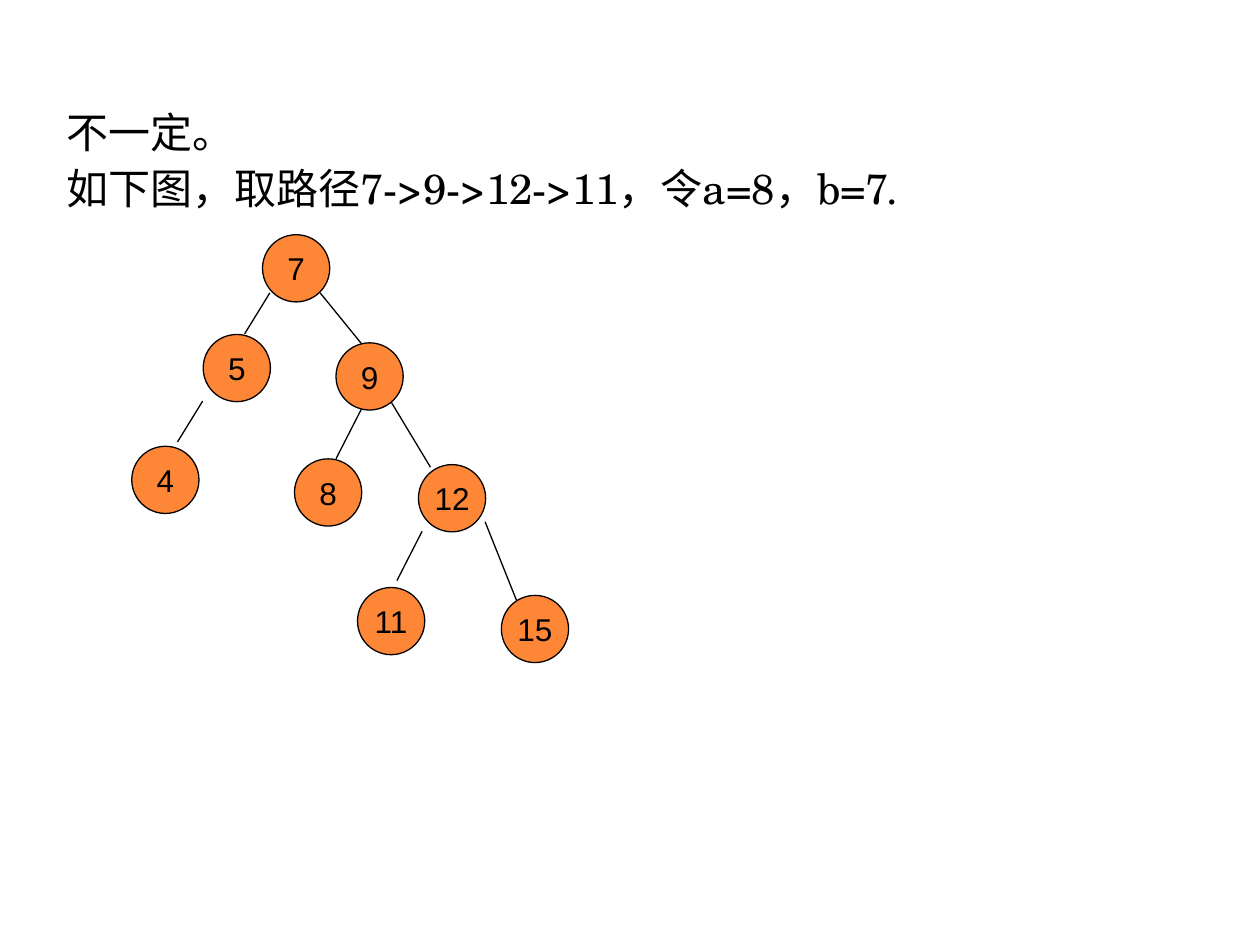
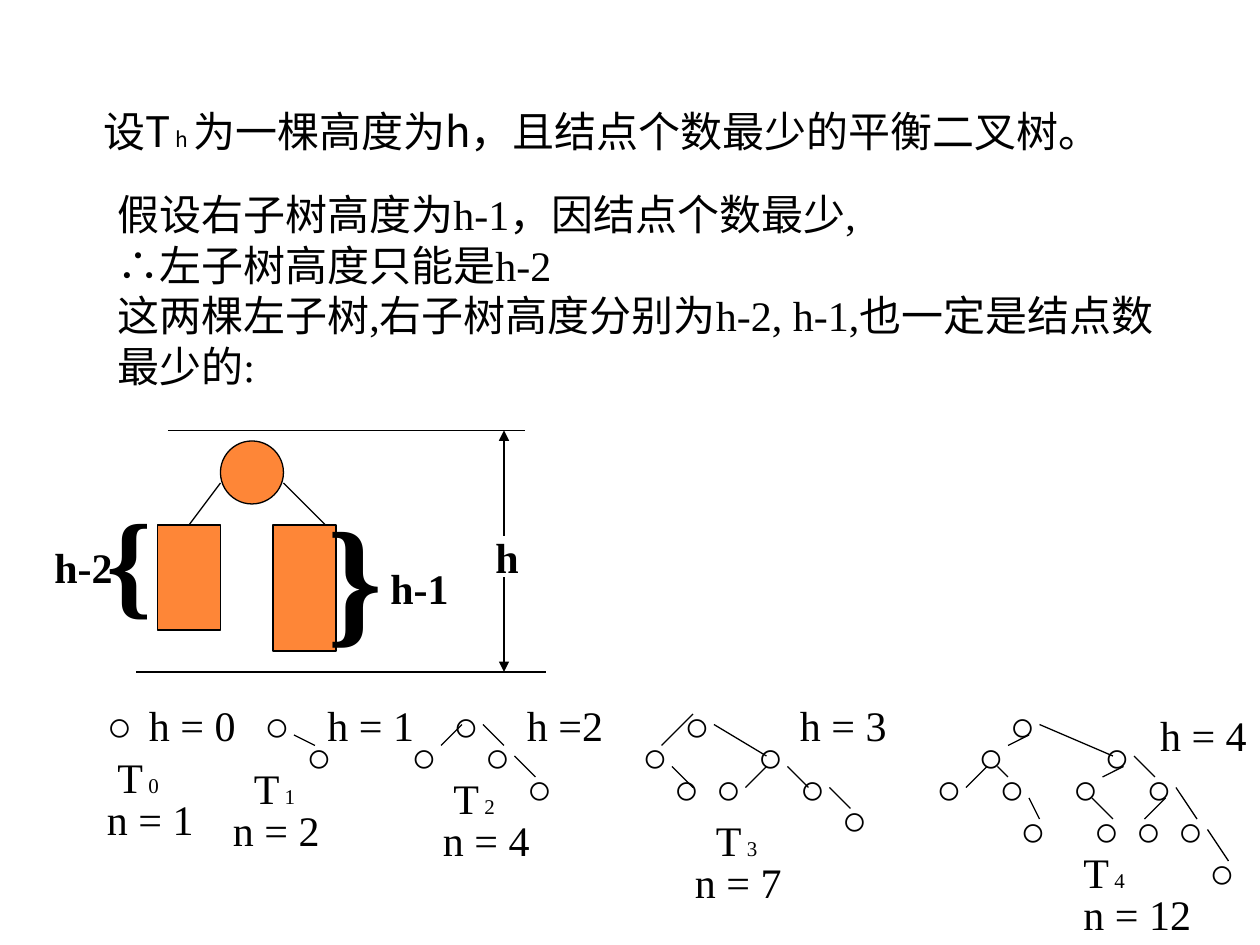
"""Builds two slides on balanced binary trees and their minimal node counts."""
from collections import namedtuple

from lxml.etree import SubElement
from pptx import Presentation
from pptx.dml.color import RGBColor
from pptx.enum.shapes import MSO_CONNECTOR as Connector, MSO_SHAPE as Shape
from pptx.enum.text import MSO_ANCHOR as Anchor, MSO_AUTO_SIZE as AutoSize, PP_ALIGN as Align
from pptx.oxml.ns import qn
from pptx.util import Inches, Pt

BLACK = RGBColor(0x00, 0x00, 0x00)
ORANGE = RGBColor(0xFE, 0x86, 0x37)
SERIF, SANS = "Times New Roman", "Arial"
SCHOLA, CJK = "TeX Gyre Schola", "Noto Sans CJK SC"
COLUMNS, ROWS = 120, 90
LINE_WIDTH = Pt(0.75)
BODY, SUBSCRIPT = 24, 12

MinimalTree = namedtuple("MinimalTree", "nodes edges height height_at name_at count count_at")

SEARCH_TREE_NODES = {
    "7": (25, 22.35), "5": (19.35, 31.85), "9": (32, 32.65), "8": (28.05, 43.7),
    "4": (12.55, 42.5), "12": (39.85, 44.25), "11": (34.05, 55.95), "15": (47.75, 56.7),
}
SEARCH_TREE_EDGES = [
    (25.7, 27.9, 23.3, 31.8), (30.5, 27.9, 34.4, 32.7), (34.4, 39, 32, 43.7),
    (37.2, 38.2, 41, 44.5), (19.3, 38.2, 16.9, 42.1), (40.2, 50.6, 37.8, 55.3),
    (46.2, 49.7, 49.2, 57.2),
]
MINIMAL_TREES = [
    MinimalTree([(9, 66)], [], "h = 0", (13, 66), (10, 71), 1, (9, 75)),
    MinimalTree([(24, 66), (28, 69)], [(28, 70, 30, 71)],
                "h = 1", (30, 66), (23, 72), 2, (21, 76)),
    MinimalTree([(42, 66), (45, 69), (38, 69), (49, 72)],
                [(44, 69, 42, 71), (46, 69, 48, 71), (49, 72, 51, 74)],
                "h =2", (49, 66), (42, 73), 4, (41, 77)),
    MinimalTree([(64, 66), (60, 69), (71, 69), (63, 72), (67, 72), (75, 72), (79, 75)],
                [(66, 68, 63, 71), (64, 73, 66, 75), (68, 69, 73, 72), (73, 73, 71, 75),
                 (75, 73, 77, 75), (79, 75, 81, 77)],
                "h = 3", (75, 66), (67, 77), 7, (65, 81)),
    MinimalTree([(95, 66), (92, 69), (88, 72), (94, 72), (96, 76), (101, 72), (104, 69),
                 (108, 72), (111, 76), (103, 76), (107, 76), (114, 80)],
                [(98, 70, 96, 71), (94, 73, 92, 75), (99, 69, 106, 72), (108, 72, 110, 74),
                 (112, 75, 114, 78), (115, 79, 117, 82), (95, 73, 96, 74), (98, 76, 99, 78),
                 (107, 73, 105, 74), (104, 76, 106, 78), (111, 76, 109, 78)],
                "h = 4", (109.3, 67), (102, 80), 12, (102, 84)),
]


class Deck:
    """Holds the grid, the style and the current slide."""

    def __init__(self):
        self.presentation = Presentation()
        self.presentation.slide_width = Inches(10)
        self.presentation.slide_height = Inches(7.5)
        self.column = self.presentation.slide_width / COLUMNS
        self.row = self.presentation.slide_height / ROWS
        self.slide = None

    def new_slide(self):
        self.slide = self.presentation.slides.add_slide(self.presentation.slide_layouts[6])

    def place(self, *lengths):
        return [round(length * (self.row if i % 2 else self.column))
                for i, length in enumerate(lengths)]

    def style(self, paragraph, size, face, bold=False):
        font = paragraph.font
        font.size, font.name, font.bold = Pt(size), face, bold
        font.color.rgb = BLACK

    def text(self, box, lines, face=SERIF, size=BODY, bold=False, wrap=True,
             spacing=None, before=0):
        frame = self.slide.shapes.add_textbox(*self.place(*box)).text_frame
        frame.word_wrap = wrap
        frame.auto_size = AutoSize.NONE if wrap else AutoSize.SHAPE_TO_FIT_TEXT
        for i, line in enumerate(lines):
            paragraph = frame.add_paragraph() if i else frame.paragraphs[0]
            pieces = [line] if isinstance(line, str) else line
            for j, piece in enumerate(pieces):
                run = paragraph.add_run()
                run.text = piece
                if j % 2:
                    run.font.size = Pt(SUBSCRIPT)
            self.style(paragraph, size, face, bold)
            if spacing:
                paragraph.line_spacing = spacing
            if i and before:
                paragraph.space_before = Pt(before)

    def label(self, at, content, width, height=6, size=BODY, bold=False):
        self.text((*at, width, height), [content], size=size, bold=bold, wrap=False)

    def block(self, kind, box, caption=""):
        block = self.slide.shapes.add_shape(kind, *self.place(*box))
        block.shadow.inherit = False
        block.fill.solid()
        block.fill.fore_color.rgb = ORANGE
        block.line.color.rgb = BLACK
        block.line.width = LINE_WIDTH
        if caption:
            frame = block.text_frame
            frame.word_wrap = False
            frame.vertical_anchor = Anchor.MIDDLE
            frame.text = caption
            frame.paragraphs[0].alignment = Align.CENTER
            self.style(frame.paragraphs[0], 18, SANS)

    def line(self, ends, arrow=False):
        line = self.slide.shapes.add_connector(Connector.STRAIGHT, *self.place(*ends))
        line.line.color.rgb = BLACK
        line.line.width = LINE_WIDTH
        if arrow:
            SubElement(line.line._get_or_add_ln(), qn("a:tailEnd"), type="triangle")
        SubElement(line._element.spPr, qn("a:effectLst"))

    def minimal_tree(self, index, tree):
        for node in tree.nodes:
            self.label(node, "○", 6)
        for edge in tree.edges:
            self.line(edge)
        self.label(tree.height_at, tree.height, 10.7 if " = " in tree.height else 9.7)
        self.label(tree.name_at, ("T", f" {index}"), 6.4)
        self.label(tree.count_at, f"n = {tree.count}", 10.7 if tree.count < 10 else 12.7)


def search_path_slide(deck):
    deck.new_slide()
    deck.text((5.15, 10.1, 98, 64), ["不一定。", "如下图，取路径7->9->12->11，令a=8，b=7."],
              face=SCHOLA, spacing=0.9, before=6)
    for edge in SEARCH_TREE_EDGES:
        deck.line(edge)
    for key, at in SEARCH_TREE_NODES.items():
        deck.block(Shape.OVAL, (*at, 6.4, 6.4), key)


def height_diagram(deck):
    deck.block(Shape.FLOWCHART_CONNECTOR, (21, 42, 6, 6))
    for left, height in ((15, 10), (26, 12)):
        deck.block(Shape.RECTANGLE, (left, 50, 6, height))
    for ends in ((21, 46, 18, 50), (27, 46, 31, 50), (16, 41, 50, 41), (13, 64, 52, 64)):
        deck.line(ends)
    for start, end in ((51, 41), (55, 64)):
        deck.line((48, start, 48, end), arrow=True)
    deck.label((30, 46), "}", 7.7, 17.4, size=80, bold=True)
    deck.label((9, 46), "{", 6.8, 14.5, size=66, bold=True)
    for at, height, width in (((4, 51), "h-2", 8), ((36, 53), "h-1", 8), ((46, 50), "h", 4.7)):
        deck.label(at, height, width, bold=True)


def minimal_trees_slide(deck):
    deck.new_slide()
    deck.text((8.7, 9.5, 107, 6), [("设T", " h ", "为一棵高度为h，且结点个数最少的平衡二叉树。")],
              face=CJK)
    height_diagram(deck)
    deck.text((10, 17.4, 101.3, 20.6), [
        "假设右子树高度为h-1，因结点个数最少,",
        "∴左子树高度只能是h-2",
        "这两棵左子树,右子树高度分别为h-2, h-1,也一定是结点数最少的:",
    ])
    for index, tree in enumerate(MINIMAL_TREES):
        deck.minimal_tree(index, tree)


def main():
    deck = Deck()
    search_path_slide(deck)
    minimal_trees_slide(deck)
    deck.presentation.save("out.pptx")


if __name__ == "__main__":
    main()
